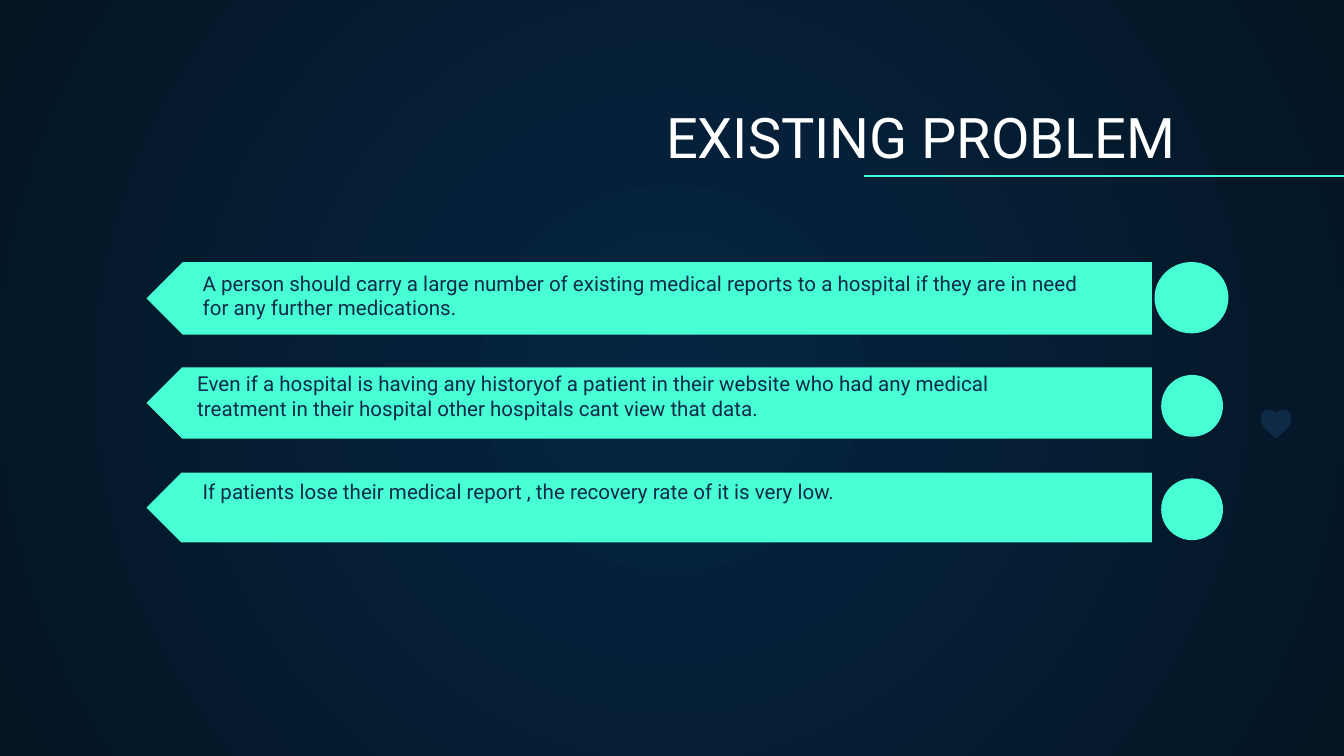
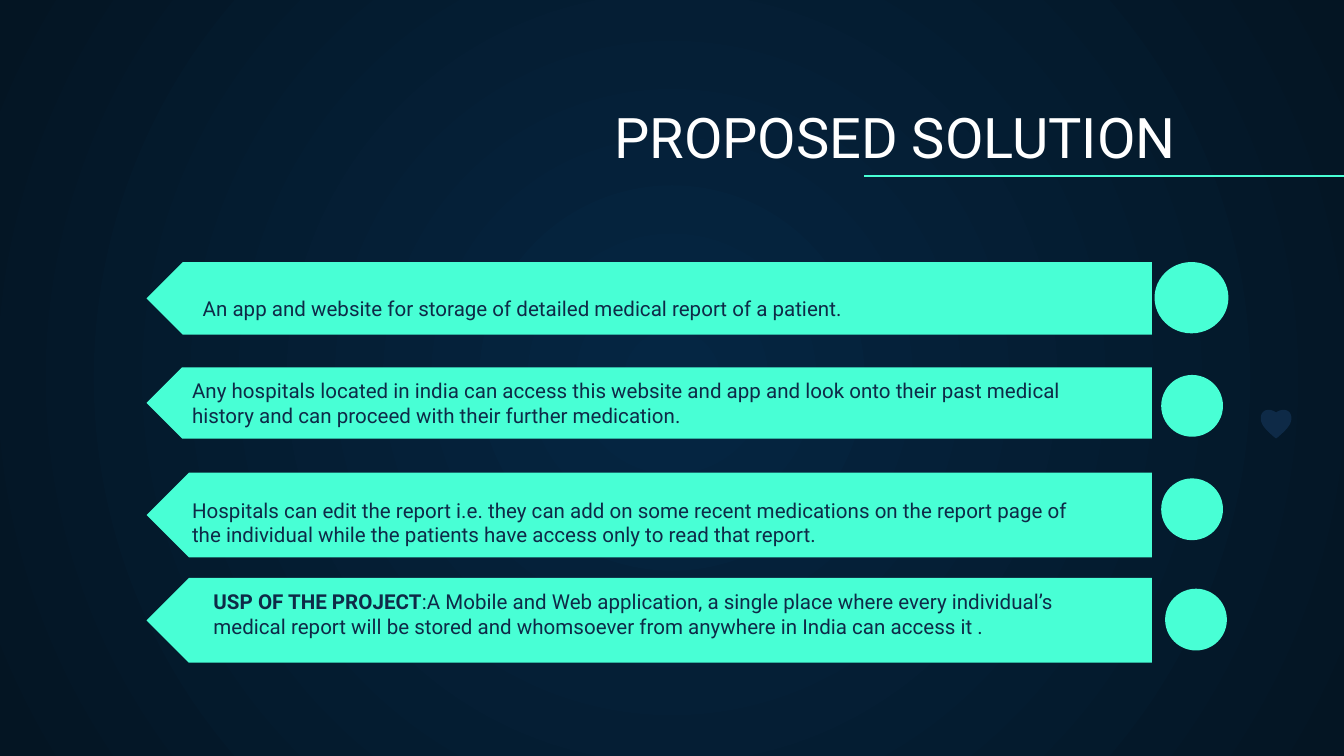
import pptx
import pptx.util
import pptx.dml.color
import pptx.enum.shapes
import pptx.enum.text
import pptx.oxml.ns
import lxml.etree

Pt = pptx.util.Pt
hue = pptx.dml.color.RGBColor.from_string
qn = pptx.oxml.ns.qn
kinds = pptx.enum.shapes.MSO_SHAPE
sides = pptx.enum.text.PP_ALIGN

MINT = "48FFD5"
NAVY = "0E2A47"
WHITE = "FFFFFF"
GLOW = ["052643", "041523"]
FONT = "Roboto"


def paint(shape, tone):
    shape.shadow.inherit = False
    shape.fill.solid()
    shape.fill.fore_color.rgb = hue(tone)
    shape.line.fill.background()


def write(slide, words, box, size=11, tone=NAVY, align=sides.LEFT, lead=""):
    frame = slide.shapes.add_textbox(*map(Pt, box)).text_frame
    frame.word_wrap = True
    frame.vertical_anchor = pptx.enum.text.MSO_ANCHOR.BOTTOM
    frame.margin_left = frame.margin_right = Pt(7.2)
    frame.margin_top = frame.margin_bottom = Pt(7.2)
    line = frame.paragraphs[0]
    line.alignment = align
    for part, bold in [(lead, True), (words, False)]:
        if part:
            run = line.add_run()
            run.text = part
            run.font.name = FONT
            run.font.size = Pt(size)
            run.font.bold = bold
            run.font.color.rgb = hue(tone)


dots = [
    (618.5, 140.4, 39.6, 38.2),
    (622.1, 200.9, 33.1, 33.1),
    (622.1, 256.3, 33.1, 33.1),
    (624.2, 315.4, 33.1, 33.1),
]

curves = [
    [(0, 1.4), (-1, 0.7), (-2.3, 0), (-4, 0)],
    [(-4, 0), (-6.5, 0), (-8.2, 1.8), (-8.2, 4.4)],
    [(-8.2, 4.4), (-8.2, 7.6), (-6.1, 10.2), (-1, 14.6)],
]
half = []
for curve in curves:
    for step in range(13):
        t = step / 12
        rates = [(1 - t) ** 3, 3 * t * (1 - t) ** 2, 3 * t * t * (1 - t), t ** 3]
        half.append([sum(r * p[i] for r, p in zip(rates, curve)) for i in (0, 1)])
ring = half + [(0, 15.3)] + [(-x, y) for x, y in reversed(half)]
heart = [(Pt(683.6 + x), Pt(219.6 + y)) for x, y in ring]

pages = [
    ("EXISTING PROBLEM", [38.9, 38.2, 37.4], [
        (101.5, 146.2, 32.4, "", "A person should carry a large number of existing medical reports to a hospital if they are in need for any further medications."),
        (98.6, 206.6, 25.9, "", "Even if a hospital is having any historyof a patient in their website who had any medical treatment in their hospital other hospitals cant view that data."),
        (101.5, 253.4, 23, "", "If patients lose their medical report , the recovery rate of it is very low."),
    ]),
    ("PROPOSED SOLUTION", [38.9, 38.2, 45.4, 45.4], [
        (101.5, 146.2, 32.4, "", "An app and website for storage of detailed medical report of a patient."),
        (95.8, 196.6, 39.6, "", "Any hospitals located in india can access this website and app and look onto their past medical history and can proceed with their further medication."),
        (95.8, 264.2, 36, "", "Hospitals can edit the report i.e. they can add on some recent medications on the report page of the individual while the patients have access only to read that report."),
        (107.3, 309.6, 39.6, "USP OF THE PROJECT", ":A Mobile and Web application, a single place where every individual’s medical report will be stored and whomsoever from anywhere in India can access it ."),
    ]),
]

deck = pptx.Presentation()
deck.slide_width = Pt(720)
deck.slide_height = Pt(405)

for title, highs, notes in pages:
    slide = deck.slides.add_slide(deck.slide_layouts[6])
    shapes = slide.shapes

    back = slide.background.fill
    back.gradient()
    for stop, tone in zip(back.gradient_stops, GLOW):
        stop.color.rgb = hue(tone)
    lin = slide.element.find(".//" + qn("a:lin"))
    round_ = lxml.etree.Element(qn("a:path"), {"path": "circle"})
    lxml.etree.SubElement(round_, qn("a:fillToRect"), dict.fromkeys("ltrb", "50000"))
    lin.getparent().replace(lin, round_)

    for row, (high, dot, note) in enumerate(zip(highs, dots, notes)):
        bar = shapes.add_shape(kinds.PENTAGON, Pt(78.5), Pt(140.4 + 56.4 * row), Pt(538.6), Pt(high))
        bar.rotation = 180
        paint(bar, MINT)
        paint(shapes.add_shape(kinds.OVAL, *map(Pt, dot)), MINT)
        left, top, tall, lead, words = note
        write(slide, words, (left, top, 486.7, tall), lead=lead)

    write(slide, title, (20.2, 50.4, 617, 47.5), size=30, tone=WHITE, align=sides.RIGHT)

    rule = shapes.add_connector(pptx.enum.shapes.MSO_CONNECTOR.STRAIGHT, Pt(463), Pt(94.3), Pt(726.5), Pt(94.3))
    rule.line.color.rgb = hue(MINT)
    rule.line.width = Pt(0.75)
    lxml.etree.SubElement(rule.element.spPr, qn("a:effectLst"))

    pen = shapes.build_freeform(*heart[0])
    pen.add_line_segments(heart[1:], close=True)
    paint(pen.convert_to_shape(), NAVY)

deck.save("out.pptx")
